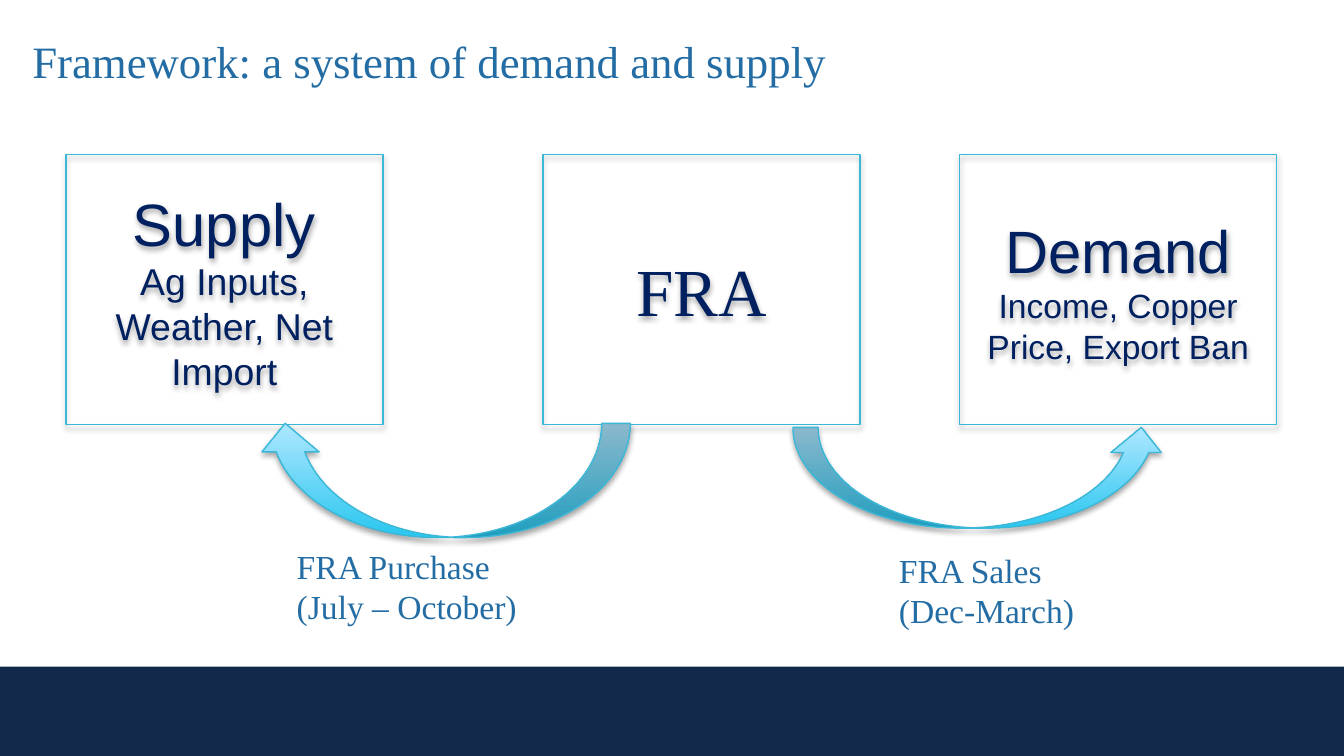
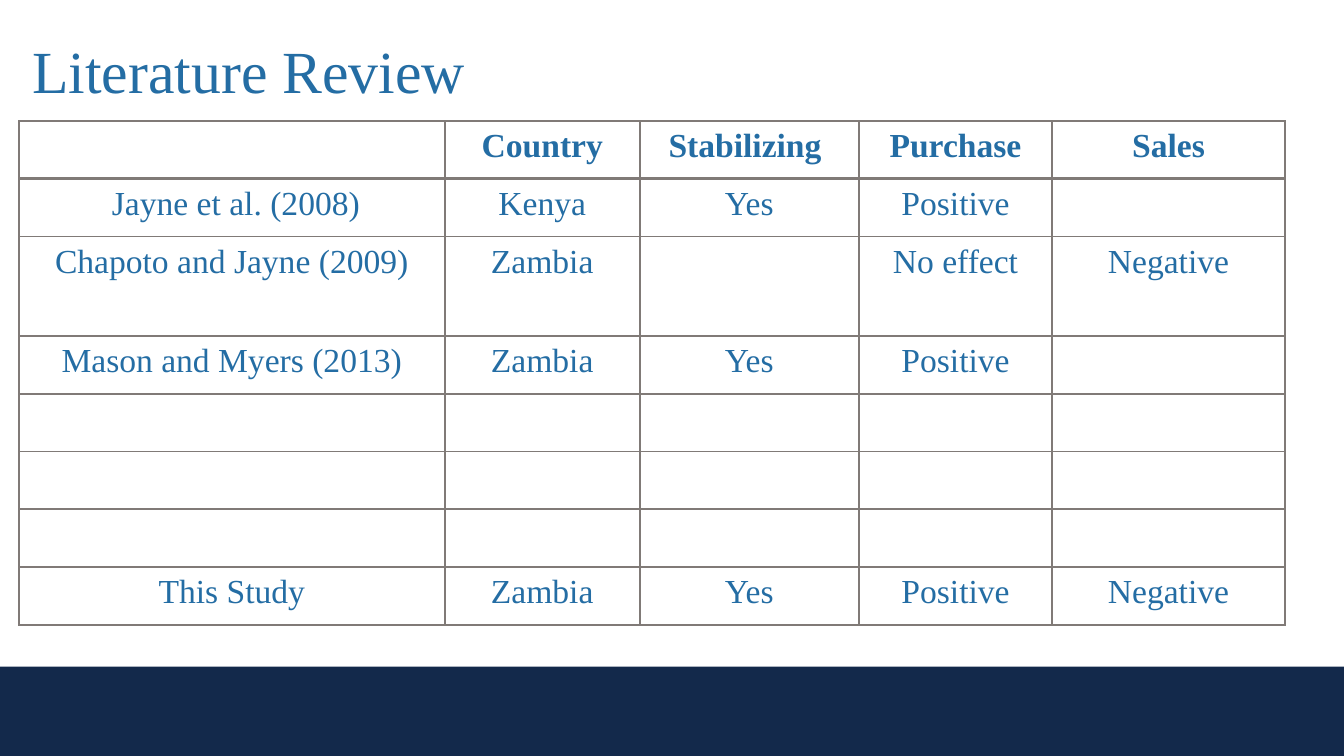
"""Builds two slides on grain reserve purchases and sales: a framework diagram and a literature table."""
from lxml import etree
from pptx import Presentation
from pptx.dml.color import RGBColor
from pptx.enum.shapes import MSO_SHAPE
from pptx.enum.text import MSO_ANCHOR, MSO_AUTO_SIZE, PP_ALIGN
from pptx.oxml.ns import qn
from pptx.util import Inches, Pt

RECTANGLE, CURVED_ARROW = MSO_SHAPE.RECTANGLE, MSO_SHAPE.CURVED_UP_ARROW
TOP, MIDDLE = MSO_ANCHOR.TOP, MSO_ANCHOR.MIDDLE
LEFT, CENTER = PP_ALIGN.LEFT, PP_ALIGN.CENTER
NO_FIT = MSO_AUTO_SIZE.NONE
SERIF, SANS = "Times New Roman", "Arial"
COLORS = {
    "band": "13294B", "text": "246DA4", "box text": "002060", "outline": "3BB7D7",
    "arrow start": "29C6EF", "arrow end": "AEE7FF", "rule": "807A77", "shadow": "000000",
}

WIDTH = 10
HEIGHT = WIDTH * 9 / 16
BAND_TOP, BAND_WIDTH, BAND_HEIGHT = 4.96, 10.01, 0.67
TITLE_LEFT, TITLE_TOP, TITLE_WIDTH = 0.14, 0.2, 9.75
BOX_TOP, BOX_WIDTH, BOX_HEIGHT = 1.15, 2.36, 2.01
ARROW_WIDTH, LABEL_WIDTH, LABEL_HEIGHT = 2.78, 2.73, 0.71
TABLE_TOP, ROW_HEIGHT, TALL_ROW, TALL_HEIGHT = 0.9, 0.43, 2, 0.74

BOXES = [
    (0.49, SANS, [("Supply", 32), ("Ag Inputs, Weather, Net Import", 20)]),
    (4.04, SERIF, [("FRA", 36)]),
    (7.14, SANS, [("Demand", 32), ("Income, Copper Price, Export Ban", 18)]),
]
ARROWS = [(1.91, 3.15, 0.85, True), (5.9, 3.18, 0.75, False)]
LABELS = [
    (2.11, 4.01, ["FRA Purchase", "(July – October)"]),
    (6.59, 4.04, ["FRA Sales", "(Dec-March)"]),
]
COLUMN_WIDTHS = [3.17, 1.45, 1.63, 1.44, 1.73]
STUDIES = [
    ("", "Country", "Stabilizing ", "Purchase", "Sales"),
    (" Jayne et al. (2008)", "Kenya", "Yes", "Positive", ""),
    ("Chapoto and Jayne (2009)", "Zambia", "", "No effect", "Negative"),
    ("Mason and Myers (2013)", "Zambia", "Yes", "Positive", ""),
    *[("",) * len(COLUMN_WIDTHS)] * 3,
    ("This Study", "Zambia", "Yes", "Positive", "Negative"),
]


def color(name):
    return RGBColor.from_string(COLORS[name])


def place(*lengths):
    return [Inches(length) for length in lengths]


def write(frame, lines, font=SERIF, tint="text", align=LEFT, bold=False):
    frame.word_wrap = True
    for index, (text, size) in enumerate(lines):
        para = frame.add_paragraph() if index else frame.paragraphs[0]
        para.text = text
        para.alignment = align
        para.font.name, para.font.size, para.font.bold = font, Pt(size), bold
        para.font.color.rgb = color(tint)


def add_child(parent, tag, **attributes):
    return etree.SubElement(parent, qn(tag), {key: str(value) for key, value in attributes.items()})


def add_band(layout, page):
    band = page.shapes.add_shape(RECTANGLE, *place(0, BAND_TOP, BAND_WIDTH, BAND_HEIGHT))
    band.shadow.inherit = False
    band.fill.solid()
    band.fill.fore_color.rgb = color("band")
    band.line.fill.background()
    layout.shapes.element.insert(2, band.element)


def set_title(page, text, size, height):
    title = page.shapes.title
    title.left, title.top, title.width, title.height = place(
        TITLE_LEFT, TITLE_TOP, TITLE_WIDTH, height)
    title.text_frame.vertical_anchor = TOP
    title.text_frame.auto_size = NO_FIT
    write(title.text_frame, [(text, size)])


def add_outlined(page, kind, *position):
    shape = page.shapes.add_shape(kind, *place(*position))
    shape.fill.background()
    shape.line.color.rgb = color("outline")
    shape.line.width = Pt(0.75)
    shape.shadow.inherit = False
    effects = shape.element.spPr.find(qn("a:effectLst"))
    shadow = add_child(effects, "a:outerShdw", blurRad=Pt(3.1), dist=Pt(1.8),
                       dir=90 * 60000, rotWithShape=0)
    add_child(add_child(shadow, "a:srgbClr", val=COLORS["shadow"]), "a:alpha", val=35000)
    return shape


def draw_framework(page):
    set_title(page, "Framework: a system of demand and supply", 24, 3.33)
    for left, font, lines in BOXES:
        box = add_outlined(page, RECTANGLE, left, BOX_TOP, BOX_WIDTH, BOX_HEIGHT)
        box.text_frame.vertical_anchor = MIDDLE
        write(box.text_frame, lines, font, "box text", CENTER)
    for left, top, height, flipped in ARROWS:
        arrow = add_outlined(page, CURVED_ARROW, left, top, ARROW_WIDTH, height)
        arrow.fill.gradient()
        arrow.fill.gradient_angle = 90
        for position, stop in enumerate(arrow.fill.gradient_stops):
            stop.position = position
            stop.color.rgb = color(("arrow start", "arrow end")[position])
        if flipped:
            arrow.element.spPr.find(qn("a:xfrm")).set("flipH", "1")
    for left, top, lines in LABELS:
        label = page.shapes.add_textbox(*place(left, top, LABEL_WIDTH, LABEL_HEIGHT))
        write(label.text_frame, [(line, 18) for line in lines])


def rule_cell(cell, bottom):
    properties = cell._tc.get_or_add_tcPr()
    for side, points in (("L", 1), ("R", 1), ("T", 1), ("B", bottom)):
        rule = add_child(properties, f"a:ln{side}", w=Pt(points))
        add_child(add_child(rule, "a:solidFill"), "a:srgbClr", val=COLORS["rule"])
    cell.fill.background()


def draw_review(page):
    set_title(page, "Literature Review", 32, 1.04)
    heights = [TALL_HEIGHT if row == TALL_ROW else ROW_HEIGHT for row in range(len(STUDIES))]
    table = page.shapes.add_table(
        len(STUDIES), len(COLUMN_WIDTHS),
        *place(TITLE_LEFT, TABLE_TOP, sum(COLUMN_WIDTHS), sum(heights))).table
    table.first_row = table.horz_banding = False
    for column, width in zip(table.columns, COLUMN_WIDTHS):
        column.width = Inches(width)
    for index, (row, height, study) in enumerate(zip(table.rows, heights, STUDIES)):
        row.height = Inches(height)
        header = index == 0
        for cell, text in zip(row.cells, study):
            write(cell.text_frame, [(text, 18)], align=CENTER, bold=header)
            rule_cell(cell, 2 if header else 1)


def main():
    deck = Presentation()
    deck.slide_width, deck.slide_height = place(WIDTH, HEIGHT)
    layout = deck.slide_layouts.get_by_name("Title Only")
    pages = [deck.slides.add_slide(layout) for _ in range(2)]
    add_band(layout, pages[0])
    draw_framework(pages[0])
    draw_review(pages[1])
    deck.save("out.pptx")


if __name__ == "__main__":
    main()
